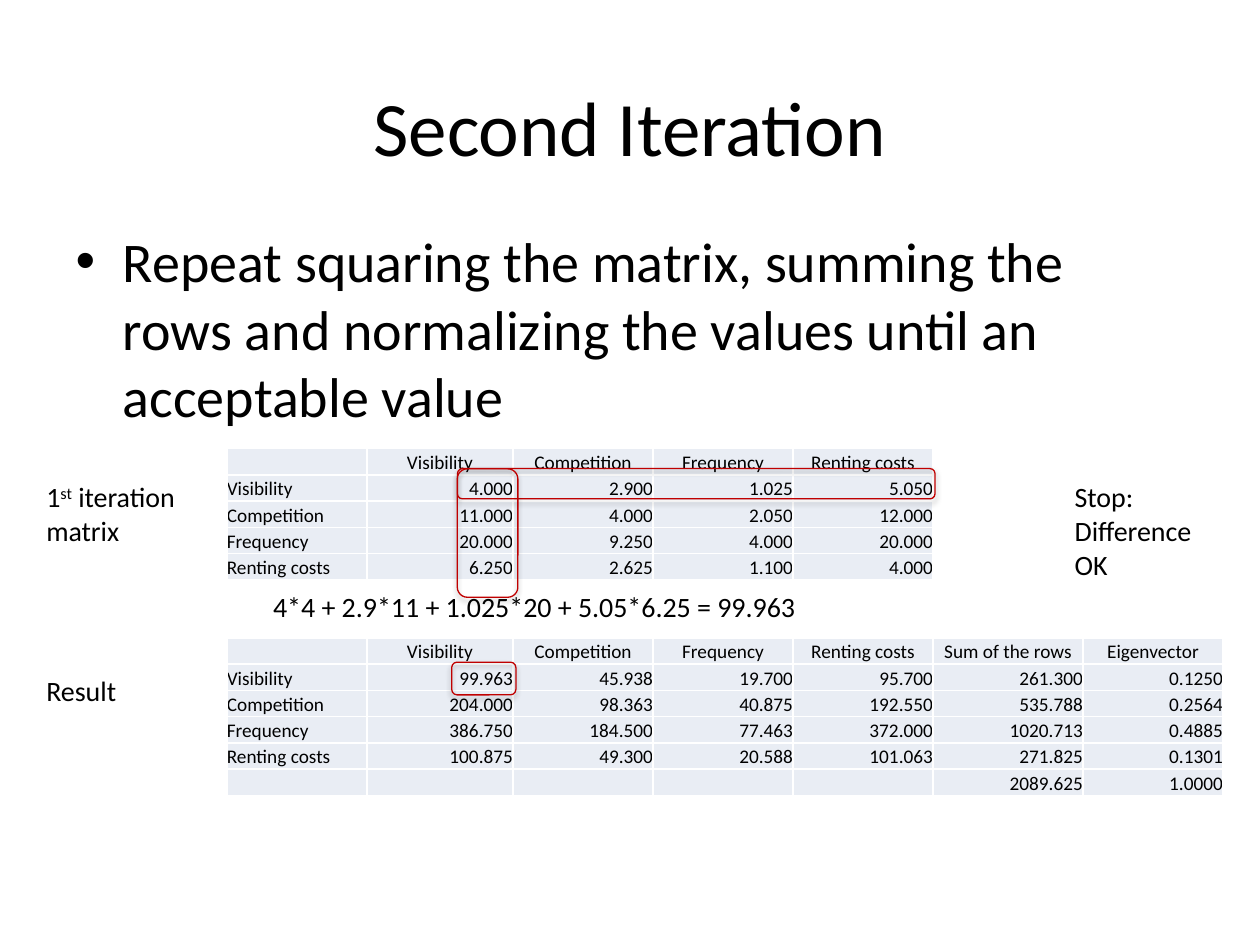
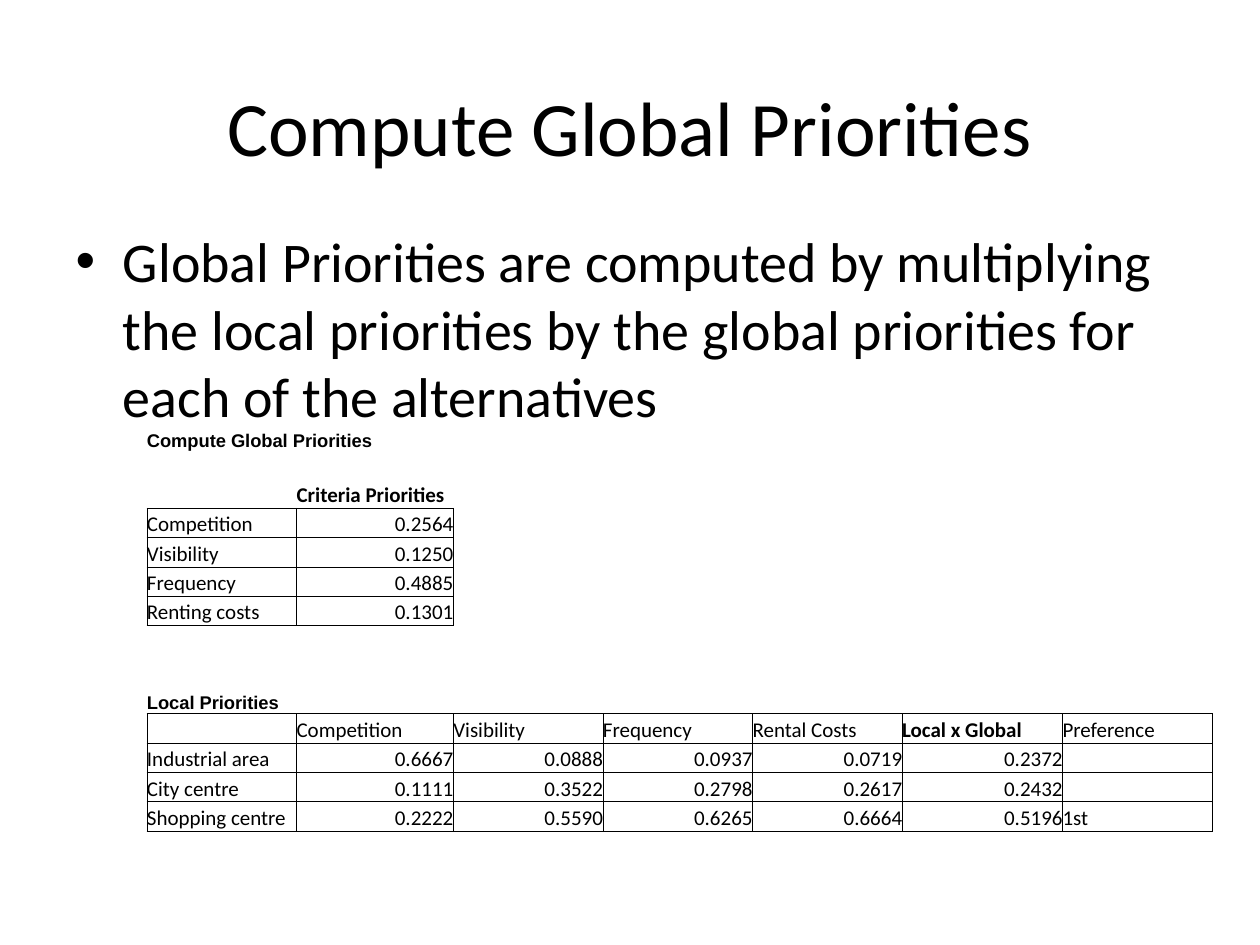
from lxml.etree import SubElement
from pptx import Presentation
from pptx.dml.color import RGBColor
from pptx.enum.shapes import MSO_SHAPE
from pptx.enum.text import MSO_ANCHOR, MSO_AUTO_SIZE, PP_ALIGN
from pptx.oxml.ns import qn
from pptx.util import Pt

BLACK, WHITE, RED, PALE = "000000", "FFFFFF", "C00000", "E9EDF4"
NO_GRID_STYLE = "{2D5ABB26-0587-4C30-8999-92F81FD0307C}"
CRITERIA = ["Visibility", "Competition", "Frequency", "Renting costs"]


def colour(code):
    """Turn a hex string into a colour."""
    return RGBColor.from_string(code)


def apply(target, **values):
    """Set each given value as an attribute of the target."""
    for name, value in values.items():
        setattr(target, name, value)


def is_number(text):
    """Tell whether a cell holds a decimal number."""
    return text.replace(".", "").isdigit()


class Slides:
    """Hold the deck, its style and the current slide."""

    def __init__(self):
        """Start an empty deck of 10 by 7.5 inches."""
        self.deck = Presentation()
        apply(self.deck, slide_width=Pt(720), slide_height=Pt(540))

    def page(self, title, bullet):
        """Add a slide with a title and one bullet."""
        self.slide = self.deck.slides.add_slide(self.deck.slide_layouts[1])
        heading, body = self.slide.placeholders
        for box, text, size, top, height, anchor, align in (
            (heading, title, 44, 27, 90, MSO_ANCHOR.MIDDLE, PP_ALIGN.CENTER),
            (body, bullet, 32, 126, 356.4, MSO_ANCHOR.TOP, PP_ALIGN.LEFT),
        ):
            apply(box, left=Pt(36), top=Pt(top), width=Pt(648), height=Pt(height))
            apply(box.text_frame, vertical_anchor=anchor, auto_size=MSO_AUTO_SIZE.NONE)
            para = box.text_frame.paragraphs[0]
            apply(para, alignment=align, space_before=Pt(0))
            self.span(para, text, size)

    def span(self, para, text, size, font="Calibri", bold=False):
        """Add a styled run to a paragraph."""
        span = para.add_run()
        span.text = text
        apply(span.font, name=font, size=Pt(size), bold=bold)
        span.font.color.rgb = colour(BLACK)
        return span

    def label(self, left, top, width, height, *texts, raised=None):
        """Add a text box, with one of its texts raised."""
        box = self.slide.shapes.add_textbox(Pt(left), Pt(top), Pt(width), Pt(height))
        apply(box.text_frame, word_wrap=True, auto_size=MSO_AUTO_SIZE.SHAPE_TO_FIT_TEXT)
        for text in texts:
            span = self.span(box.text_frame.paragraphs[0], text, 16)
            if text == raised:
                span.font._element.set("baseline", "30000")

    def highlight(self, left, top, width, height, rotation=0):
        """Outline table cells with a rounded frame and a soft shadow."""
        frame = self.slide.shapes.add_shape(
            MSO_SHAPE.ROUNDED_RECTANGLE, Pt(left), Pt(top), Pt(width), Pt(height))
        frame.rotation = rotation
        frame.fill.background()
        frame.line.color.rgb = colour(RED)
        frame.line.width = Pt(0.75)
        frame.shadow.inherit = False
        effects = frame._element.spPr.find(qn("a:effectLst"))
        shadow = SubElement(effects, qn("a:outerShdw"), blurRad=str(Pt(3.1)),
                            dist=str(Pt(1.8)), dir="5400000", rotWithShape="0")
        tint = SubElement(shadow, qn("a:srgbClr"), val=BLACK)
        SubElement(tint, qn("a:alpha"), val="35000")

    def table(self, left, top, widths, heights):
        """Add a plain table of the given column widths and row heights."""
        table = self.slide.shapes.add_table(
            len(heights), len(widths), Pt(left), Pt(top),
            Pt(sum(widths)), Pt(sum(heights))).table
        apply(table, first_row=False, horz_banding=False)
        table._tbl.tblPr.find(qn("a:tableStyleId")).text = NO_GRID_STYLE
        for column, width in zip(table.columns, widths):
            column.width = Pt(width)
        for row, height in zip(table.rows, heights):
            row.height = Pt(height)
        return table

    def cell(self, cell, text, size, align, border=None, fill=None, **style):
        """Fill in one cell, with an optional border of colour and width."""
        apply(cell, margin_left=0, margin_right=0, margin_top=0, margin_bottom=0,
              vertical_anchor=MSO_ANCHOR.BOTTOM)
        para = cell.text_frame.paragraphs[0]
        para.alignment = align
        if text:
            self.span(para, text, size, **style)
        else:
            SubElement(para._p, qn("a:endParaRPr"), sz=str(size * 100))
        if border:
            for side in ("a:lnL", "a:lnR", "a:lnT", "a:lnB"):
                line = SubElement(cell._tc.get_or_add_tcPr(), qn(side), w=str(Pt(border[1])))
                SubElement(SubElement(line, qn("a:solidFill")), qn("a:srgbClr"), val=border[0])
        if fill:
            cell.fill.solid()
            cell.fill.fore_color.rgb = colour(fill)
        else:
            cell.fill.background()

    def matrix(self, top, widths, rows):
        """Add a shaded matrix with centred headings."""
        table = self.table(129.6, top, widths, [15] * len(rows))
        for r, row in enumerate(rows):
            for c, text in enumerate(row):
                align = (PP_ALIGN.CENTER if r == 0 else
                         PP_ALIGN.RIGHT if is_number(text) else PP_ALIGN.LEFT)
                self.cell(table.cell(r, c), text, 11, align, (WHITE, 1), PALE)

    def priorities(self, rows, grids):
        """Add the priorities sheet, ruled only inside the grids of row to width."""
        heights = [32.4 if r == 1 else 16.8 for r in range(len(rows))]
        widths = [85.5, 89.6, 85.5, 85.5, 85.5, 91.7, 85.5]
        table = self.table(84, 241.2, widths, heights)
        table.cell(0, 0).merge(table.cell(0, 1))
        captions = ("Compute Global Priorities", "Local Priorities")
        strong = ("Criteria Priorities", "Local x Global")
        for r, row in enumerate(rows):
            for c in range(len(widths)):
                text = row[c] if c < len(row) else ""
                style = {"bold": text in captions + strong}
                if text in captions:
                    style["font"] = "Arial"
                self.cell(table.cell(r, c), text, 10.5 if text in captions else 12,
                          PP_ALIGN.RIGHT if is_number(text) else PP_ALIGN.LEFT,
                          (BLACK, 0.5) if c < grids.get(r, 0) else None, **style)


def second_iteration(slides):
    """Build the slide on squaring the matrix again."""
    slides.page("Second Iteration", "Repeat squaring the matrix, summing the rows "
                "and normalizing the values until an acceptable value")
    widths = [80, 83.6, 80, 80, 80]
    slides.matrix(256.3, widths, [
        ["", *CRITERIA],
        ["Visibility", "4.000", "2.900", "1.025", "5.050"],
        ["Competition", "11.000", "4.000", "2.050", "12.000"],
        ["Frequency", "20.000", "9.250", "4.000", "20.000"],
        ["Renting costs", "6.250", "2.625", "1.100", "4.000"],
    ])
    slides.label(19.4, 270.7, 93.6, 46, "1", "st", " iteration matrix", raised="st")
    slides.label(19.4, 381.6, 93.6, 26.6, "Result")
    slides.label(607, 270.7, 93.6, 65.5, "Stop: Difference OK")
    slides.matrix(364.5, widths + [85.7, 80], [
        ["", *CRITERIA, "Sum of the rows", "Eigenvector"],
        ["Visibility", "99.963", "45.938", "19.700", "95.700", "261.300", "0.1250"],
        ["Competition", "204.000", "98.363", "40.875", "192.550", "535.788", "0.2564"],
        ["Frequency", "386.750", "184.500", "77.463", "372.000", "1020.713", "0.4885"],
        ["Renting costs", "100.875", "49.300", "20.588", "101.063", "271.825", "0.1301"],
        ["", "", "", "", "", "2089.625", "1.0000"],
    ])
    slides.highlight(261.4, 267.8, 272.9, 17.3)
    slides.highlight(241.9, 287.3, 73.4, 34.6, rotation=90)
    slides.label(149, 333.4, 405.4, 26.6, "4*4 + 2.9*11 + 1.025*20 + 5.05*6.25 = 99.963")
    slides.highlight(267.1, 369.4, 18.7, 36.7, rotation=90)


def global_priorities(slides):
    """Build the slide on global priorities."""
    slides.page("Compute Global Priorities", "Global Priorities are computed by "
                "multiplying the local priorities by the global priorities "
                "for each of the alternatives")
    rows = [
        ["Compute Global Priorities"],
        ["", "Criteria Priorities"],
        ["Competition", "0.2564"],
        ["Visibility", "0.1250"],
        ["Frequency", "0.4885"],
        ["Renting costs", "0.1301"],
        [],
        [],
        ["Local Priorities"],
        ["", "Competition", "Visibility", "Frequency", "Rental Costs",
         "Local x Global", "Preference"],
        ["Industrial area", "0.6667", "0.0888", "0.0937", "0.0719", "0.2372"],
        ["City centre", "0.1111", "0.3522", "0.2798", "0.2617", "0.2432"],
        ["Shopping centre", "0.2222", "0.5590", "0.6265", "0.6664", "0.5196", "1st"],
    ]
    slides.priorities(rows, {**dict.fromkeys(range(2, 6), 2),
                             **dict.fromkeys(range(9, 13), 7)})


def main():
    """Build and save the deck."""
    slides = Slides()
    second_iteration(slides)
    global_priorities(slides)
    slides.deck.save("out.pptx")


if __name__ == "__main__":
    main()
